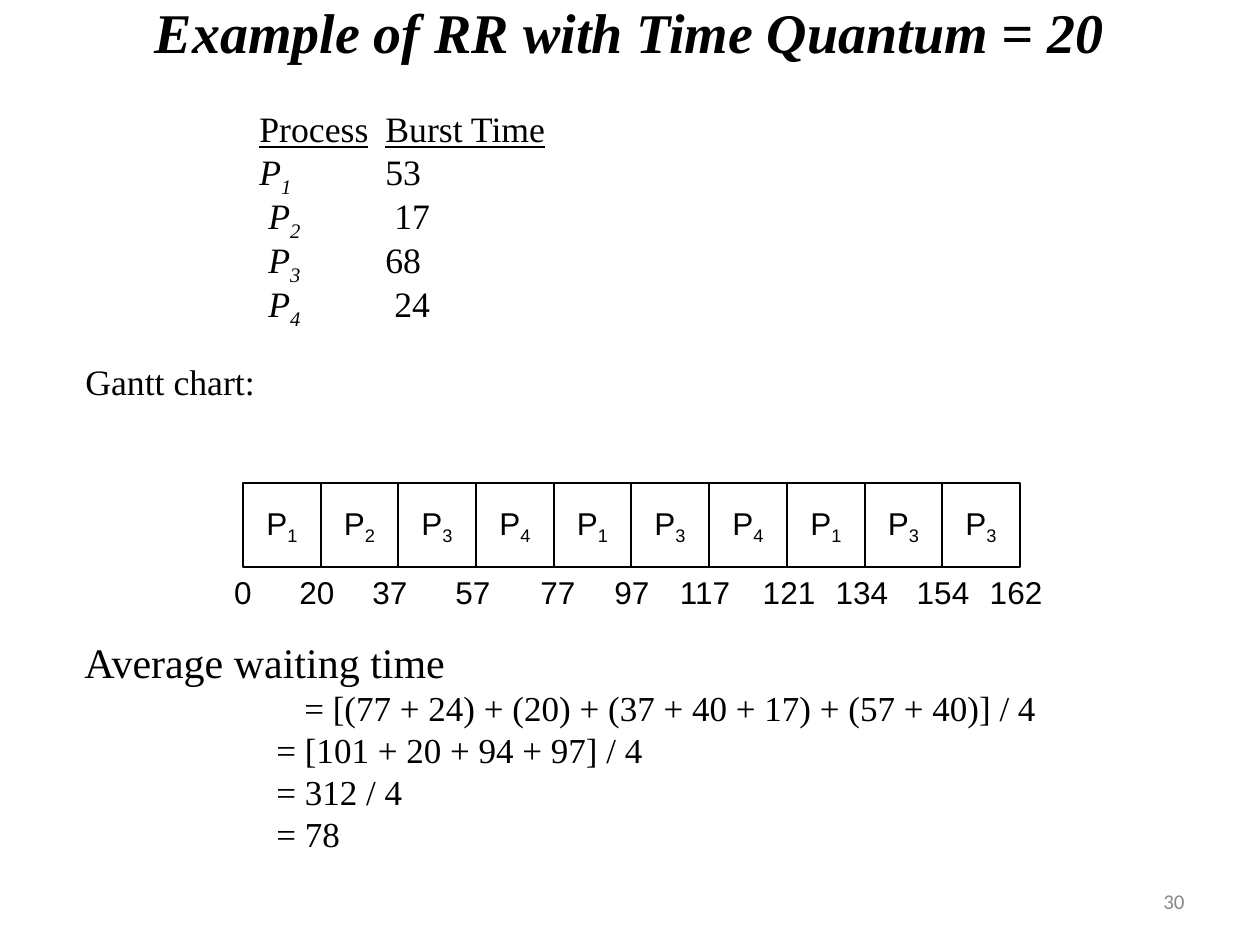
from dataclasses import dataclass

from pptx import Presentation
from pptx.dml.color import RGBColor
from pptx.enum.shapes import MSO_SHAPE as Shape
from pptx.enum.text import MSO_ANCHOR as Anchor, MSO_AUTO_SIZE as AutoSize, PP_ALIGN as Align
from pptx.util import Pt


@dataclass(frozen=True)
class Theme:
    black: RGBColor = RGBColor(0, 0, 0)
    white: RGBColor = RGBColor(255, 255, 255)
    grey: RGBColor = RGBColor(0x89, 0x89, 0x89)
    serif: str = "Times New Roman"
    sans: str = "Arial"
    footer: str = "Calibri"
    title: float = 32
    heading: float = 24
    body: float = 20.4
    working: float = 20
    label: float = 18
    number: float = 12


THEME = Theme()
PX = 914400 // 126

TITLE = "Example of RR with Time Quantum = 20"
COLUMNS = ("Process", "Burst Time")
# lead, process, gap, burst time
BURSTS = [("", 1, "", 53), (" ", 2, " ", 17), (" ", 3, "", 68), (" ", 4, " ", 24)]
GANTT_CAPTION = "Gantt chart:"
GANTT = [1, 2, 3, 4, 1, 3, 4, 1, 3, 3]
# time, centre of its label in px
TIMES = [(0, 243), (20, 317), (37, 390), (57, 473), (77, 558), (97, 632),
         (117, 705), (121, 789), (134, 862), (154, 943), (162, 1016)]
AVERAGE = "Average waiting time"
# left indent in px, step
STEPS = [(292, "= [(77 + 24) + (20) + (37 + 40 + 17) + (57 + 40)] / 4"),
         (264, "= [101 + 20 + 94 + 97] / 4"),
         (264, "= 312 / 4"),
         (264, "= 78")]
SLIDE_NUMBER = "30"

BURST_INDENT = 174
CHART_LEFT, CHART_TOP, CHART_WIDTH, CHART_HEIGHT = 243, 483, 777, 84
TIME_WIDTHS = {1: 44, 2: 62, 3: 80}


def set_all(target, values):
    for name, value in values.items():
        setattr(target, name, value)


def add_box(slide, left, top, width, height, **frame_format):
    box = slide.shapes.add_textbox(left * PX, top * PX, width * PX, height * PX)
    set_all(box.text_frame, {"word_wrap": True, **frame_format})
    return box.text_frame


def write(paragraph, runs, size, font=THEME.serif, color=THEME.black, align=Align.LEFT,
          indent=0, **spacing):
    """Fill a paragraph from (text, format) runs; the format key "sub" lowers a run."""
    set_all(paragraph, {"alignment": align, **spacing})
    properties = paragraph._p.get_or_add_pPr()
    properties.set("marL", str(indent * PX))
    properties.set("indent", "0")
    for text, run_format in runs:
        run = paragraph.add_run()
        run.text = text
        styles = dict(run_format)
        if styles.pop("sub", False):
            run._r.get_or_add_rPr().set("baseline", "-25000")
        set_all(run.font, {"size": Pt(size), "name": font, **styles})
        run.font.color.rgb = color


def add_bursts(slide):
    underline, italic = {"underline": True}, {"italic": True}
    process, burst = COLUMNS
    lines = [[(process, underline), ("\t", {}), (burst, underline)]]
    for lead, index, gap, time in BURSTS:
        lines.append([(lead + "P", italic), (str(index), {"sub": True, **italic}),
                      (f"\t\t{gap}{time}", {})])

    frame = add_box(slide, 73, 105, 1124, 356, margin_top=7 * PX)
    for row, runs in enumerate(lines):
        paragraph = frame.add_paragraph() if row else frame.paragraphs[0]
        write(paragraph, runs, THEME.body, indent=BURST_INDENT, line_spacing=0.9,
              space_before=Pt(0))
    write(frame.add_paragraph(), [(GANTT_CAPTION, {})], THEME.body, line_spacing=0.9,
          space_before=Pt(22))


def add_gantt(slide):
    edges = [CHART_LEFT + round(i * CHART_WIDTH / len(GANTT)) for i in range(len(GANTT) + 1)]
    for process, left, right in zip(GANTT, edges, edges[1:]):
        cell = slide.shapes.add_shape(Shape.RECTANGLE, left * PX, CHART_TOP * PX,
                                      (right - left) * PX, CHART_HEIGHT * PX)
        cell.shadow.inherit = False
        cell.fill.solid()
        cell.fill.fore_color.rgb = THEME.white
        cell.line.color.rgb = THEME.black
        cell.line.width = Pt(0.75)
        set_all(cell.text_frame, {"word_wrap": False, "vertical_anchor": Anchor.MIDDLE})
        write(cell.text_frame.paragraphs[0], [("P", {}), (str(process), {"sub": True})],
              THEME.label, THEME.sans, align=Align.CENTER)
    for time, center in TIMES:
        width = TIME_WIDTHS[len(str(time))]
        frame = add_box(slide, center - width // 2, CHART_TOP + CHART_HEIGHT, width, 50,
                        word_wrap=False, vertical_anchor=Anchor.MIDDLE)
        write(frame.paragraphs[0], [(str(time), {})], THEME.label, THEME.sans,
              align=Align.CENTER)


def add_average(slide):
    frame = add_box(slide, 0, 630, 1260, 232, auto_size=AutoSize.SHAPE_TO_FIT_TEXT)
    write(frame.paragraphs[0], [(AVERAGE, {})], THEME.heading, indent=72)
    for indent, step in STEPS:
        write(frame.add_paragraph(), [(step, {})], THEME.working, indent=indent)


def main():
    deck = Presentation()
    deck.slide_width, deck.slide_height = 1260 * PX, 945 * PX
    slide = deck.slides.add_slide(deck.slide_layouts[6])

    title = add_box(slide, 0, 0, 1260, 63, vertical_anchor=Anchor.MIDDLE)
    write(title.paragraphs[0], [(TITLE, {"bold": True, "italic": True})], THEME.title,
          align=Align.CENTER)
    add_bursts(slide)
    add_gantt(slide)
    number = add_box(slide, 903, 876, 294, 50, vertical_anchor=Anchor.MIDDLE)
    write(number.paragraphs[0], [(SLIDE_NUMBER, {})], THEME.number, THEME.footer, THEME.grey,
          Align.RIGHT)
    add_average(slide)
    deck.save("out.pptx")


if __name__ == "__main__":
    main()
